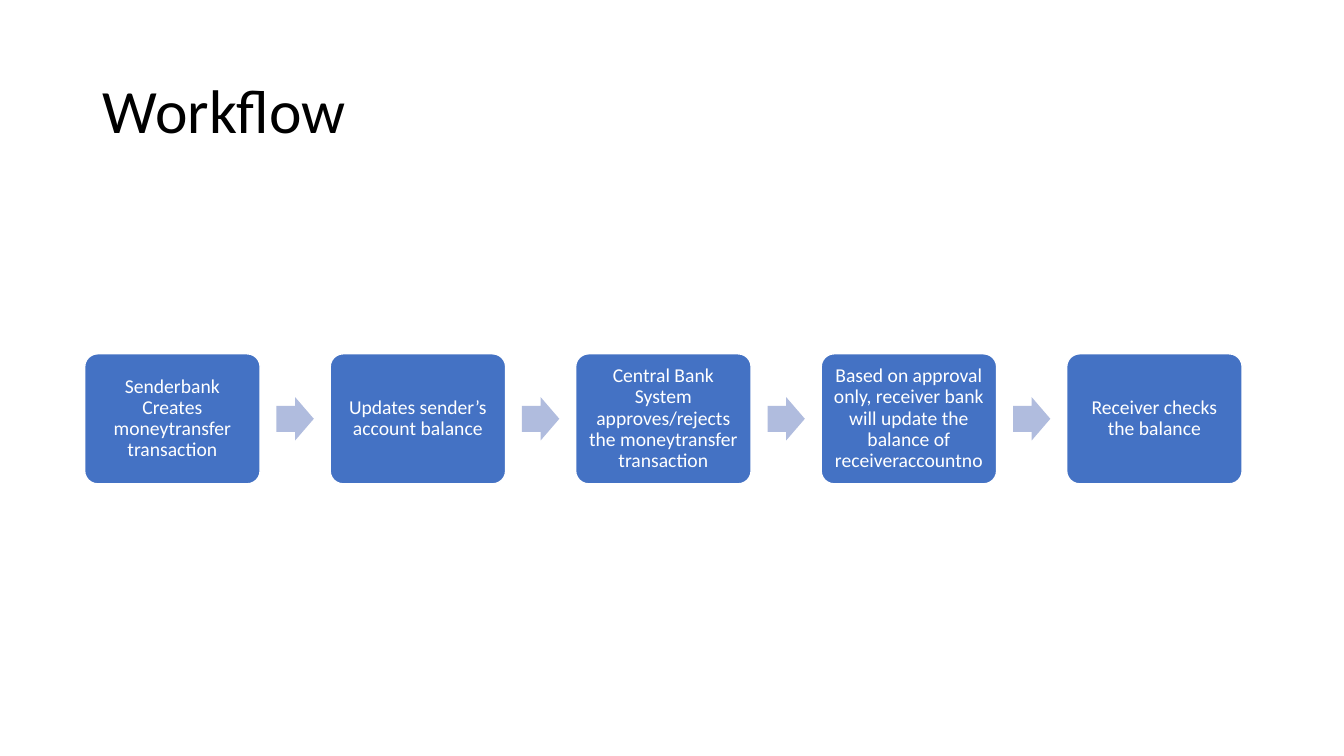
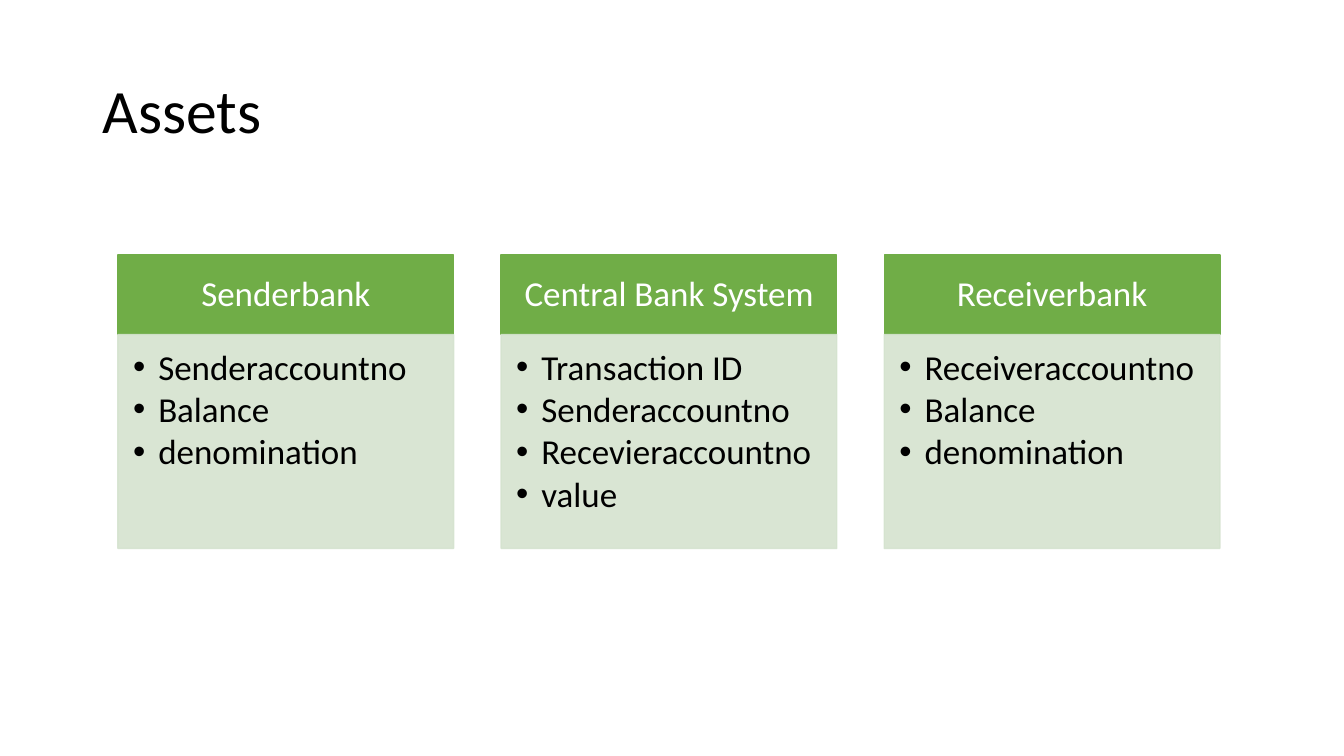
from pptx import Presentation
from pptx.dml.color import RGBColor
from pptx.enum.shapes import MSO_SHAPE as SHAPE
from pptx.enum.text import MSO_ANCHOR as ANCHOR, PP_ALIGN as ALIGN
from pptx.oxml.ns import qn
from pptx.util import Inches, Pt
from lxml import etree

# Content
STEPS = [
    "Senderbank Creates moneytransfer transaction",
    "Updates sender’s account balance",
    "Central Bank System\vapproves/rejects the moneytransfer transaction",
    "Based on approval only, receiver bank will update the balance of receiveraccountno",
    "Receiver checks the balance",
]
ASSETS = [
    ("Senderbank", ["Senderaccountno", "Balance", "denomination"]),
    ("Central Bank System",
     ["Transaction ID", "Senderaccountno", "Recevieraccountno", "value"]),
    ("Receiverbank", ["Receiveraccountno", "Balance", "denomination"]),
]

# Shared style
FONT = "Calibri"
BLACK, WHITE = "000000", "FFFFFF"
BLUE, PALE_BLUE = "4472C4", "B0BCDE"
GREEN, PALE_GREEN = "70AD47", "D5E3CF"


def color(hex_string):
    return RGBColor.from_string(hex_string)


def add_title_slide(prs, title):
    s = prs.slides.add_slide(prs.slide_layouts[5])
    sp = s.shapes.title
    sp.left, sp.top = Inches(0.92), Inches(0.4)
    sp.width, sp.height = Inches(11.5), Inches(1.45)
    set_text(sp, [title], 44, BLACK, ALIGN.LEFT)
    return s


def add_block(s, kind, left, top, width, height, fill, line=None):
    sp = s.shapes.add_shape(kind, Inches(left), Inches(top), Inches(width), Inches(height))
    sp.shadow.inherit = False
    sp.fill.solid()
    sp.fill.fore_color.rgb = color(fill)
    if line:
        sp.line.color.rgb = color(line)
        sp.line.width = Pt(1)
    else:
        sp.line.fill.background()
    return sp


def set_text(sp, lines, size, text_color, align=ALIGN.CENTER, anchor=ANCHOR.MIDDLE,
             insets=(0.1, 0.05, 0.1, 0.05), space_after=0):
    tf = sp.text_frame
    tf.word_wrap = True
    tf.vertical_anchor = anchor
    tf.margin_left, tf.margin_top, tf.margin_right, tf.margin_bottom = map(Inches, insets)
    for i, line in enumerate(lines):
        p = tf.add_paragraph() if i else tf.paragraphs[0]
        p.text = line
        p.alignment = align
        p.line_spacing = 0.9
        p.space_after = Pt(space_after)
        for r in p.runs:
            r.font.name = FONT
            r.font.size = Pt(size)
            r.font.color.rgb = color(text_color)


def add_bullets(sp, indent):
    for p in sp.text_frame.paragraphs:
        pPr = p._p.get_or_add_pPr()
        pPr.set("marL", str(Inches(indent)))
        pPr.set("indent", str(-Inches(indent)))
        etree.SubElement(pPr, qn("a:buFont")).set("typeface", "Arial")
        etree.SubElement(pPr, qn("a:buChar")).set("char", "•")


def set_opacity(sp, percent):
    """Apply to the fill and the outline alike."""
    for clr in sp._element.spPr.iter(qn("a:srgbClr")):
        etree.SubElement(clr, qn("a:alpha")).set("val", str(percent * 1000))


def build_workflow(prs):
    s = add_title_slide(prs, "Workflow")
    first, last, top, width, height = 0.84, 10.58, 3.51, 1.74, 1.29
    arrow_w, arrow_h = 0.37, 0.43
    pitch = (last - first) / (len(STEPS) - 1)
    for i, step in enumerate(STEPS):
        left = first + i * pitch
        sp = add_block(s, SHAPE.ROUNDED_RECTANGLE, left, top, width, height, BLUE, WHITE)
        sp.adjustments[0] = 0.1
        set_text(sp, [step], 14, WHITE, insets=(0.06,) * 4)
        # Arrow centred in the gap to the next step
        if i < len(STEPS) - 1:
            arrow_left = left + (width + pitch - arrow_w) / 2
            arrow = add_block(s, SHAPE.RIGHT_ARROW, arrow_left,
                              top + (height - arrow_h) / 2, arrow_w, arrow_h, PALE_BLUE)
            arrow.adjustments[0] = 0.6
            arrow.adjustments[1] = 0.5


def build_assets(prs):
    s = add_title_slide(prs, "Assets")
    first, pitch, width = 1.17, 3.8, 3.33
    top, head_h, body_h = 2.53, 0.79, 2.12
    for i, (name, fields) in enumerate(ASSETS):
        left = first + i * pitch
        head = add_block(s, SHAPE.RECTANGLE, left, top, width, head_h, GREEN, GREEN)
        set_text(head, [name], 25, WHITE, insets=(0.19, 0.11, 0.19, 0.11))
        body = add_block(s, SHAPE.RECTANGLE, left, top + head_h, width, body_h,
                         PALE_GREEN, PALE_GREEN)
        set_opacity(body, 90)
        set_text(body, fields, 25, BLACK, ALIGN.LEFT, ANCHOR.TOP,
                 (0.15, 0.15, 0.19, 0.22), space_after=3.3)
        add_bullets(body, 0.25)


def main():
    prs = Presentation()
    prs.slide_width, prs.slide_height = Inches(13.33), Inches(7.5)
    build_workflow(prs)
    build_assets(prs)
    prs.save("out.pptx")


if __name__ == "__main__":
    main()
